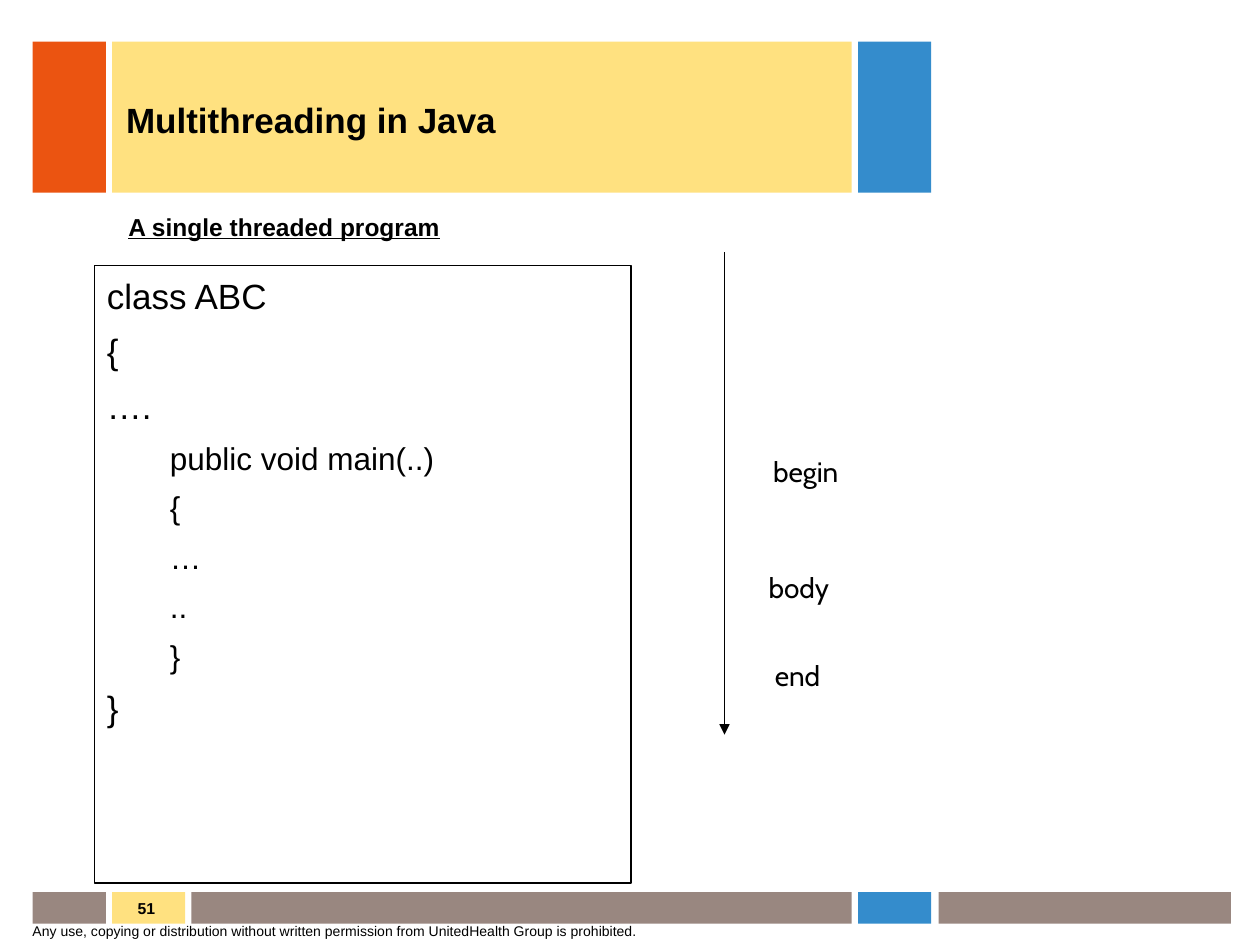
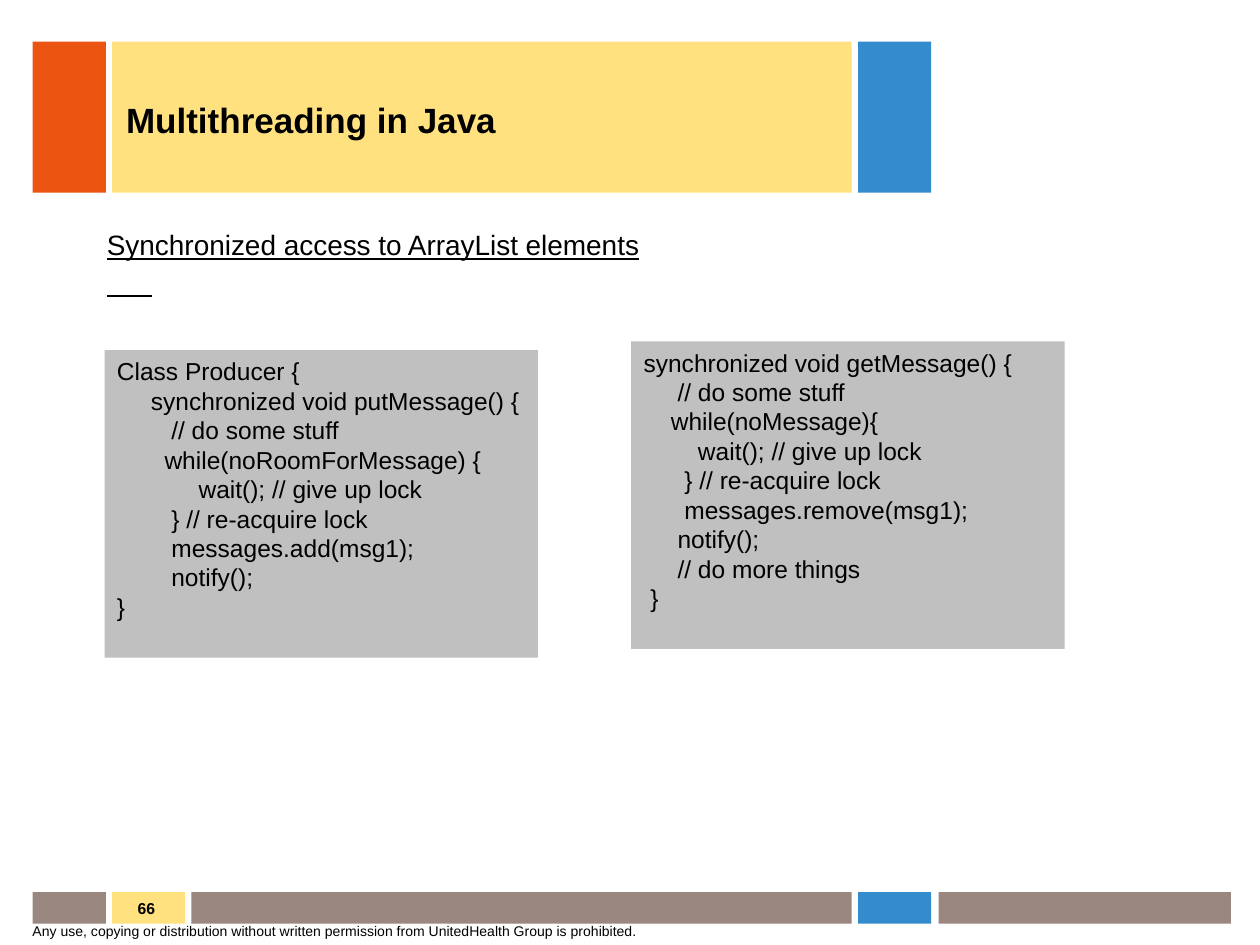
from dataclasses import dataclass

from lxml import etree
from pptx import Presentation
from pptx.dml.color import RGBColor
from pptx.enum.shapes import MSO_CONNECTOR, MSO_SHAPE
from pptx.enum.text import MSO_ANCHOR, PP_ALIGN
from pptx.oxml.ns import qn
from pptx.util import Inches, Pt

RECT = MSO_SHAPE.RECTANGLE
LINE = MSO_CONNECTOR.STRAIGHT
LEFT, MID, RIGHT = PP_ALIGN.LEFT, PP_ALIGN.CENTER, PP_ALIGN.RIGHT
TOP, CENTER = MSO_ANCHOR.TOP, MSO_ANCHOR.MIDDLE
TITLE_ONLY = 5


@dataclass(frozen=True)
class Theme:
    ink: str = "000000"
    orange: str = "EB5411"
    cream: str = "FFE180"
    blue: str = "348CCC"
    taupe: str = "998780"
    gray: str = "C0C0C0"
    font: str = "Arial"
    label: str = "Cabin"
    big: int = 20
    inner: int = 18
    mid: int = 16
    small: int = 14
    page: int = 9
    legal: int = 8
    hair: float = 0.75


THEME = Theme()
TITLE = "Multithreading in Java"
NOTICE = ("Any use, copying or distribution without written permission "
          "from UnitedHealth Group is prohibited.")

# Bands as (left, width, colour)
HEAD = [(0.26, 0.58, THEME.orange), (0.89, 5.87, THEME.cream),
        (6.81, 0.58, THEME.blue)]
FOOT = [(0.26, 0.58, THEME.taupe), (0.89, 0.58, THEME.cream),
        (1.52, 5.24, THEME.taupe), (6.81, 0.58, THEME.blue),
        (7.45, 2.32, THEME.taupe)]

# Lines of the program as (level, text)
PROGRAM = [(0, "class ABC"), (0, "{"), (0, "…."),
           (1, "public void main(..)"), (1, "{"), (1, "…"), (1, ".."),
           (1, "}"), (0, "}")]
# Format of each level: type size, indent, space after
LEVELS = [(THEME.big, 0, 6.2), (THEME.inner, 0.5, 5.6)]

# Steps along the time arrow as (text, left, top, width)
STEPS = [("begin", 6, 3.56, 0.79), ("body", 5.98, 4.48, 0.72),
         ("end", 6.05, 5.18, 0.56)]

PUT = """Class Producer {
     synchronized void putMessage() {
        // do some stuff
       while(noRoomForMessage) {
            wait(); // give up lock
        } // re-acquire lock
        messages.add(msg1);
        notify();
}"""
GET = """synchronized void getMessage() {
     // do some stuff
    while(noMessage){
        wait(); // give up lock
      } // re-acquire lock
      messages.remove(msg1);
     notify();
     // do more things
 }"""


def rgb(code):
    return RGBColor.from_string(code)


def apply(item, values):
    for name, value in values.items():
        setattr(item, name, value)


class Deck:
    def __init__(self, theme):
        self.theme = theme
        self.prs = Presentation()
        apply(self.prs, {"slide_width": Inches(10),
                         "slide_height": Inches(7.5)})
        self.slide = None

    def start(self, title, page):
        """Add a slide with its bands, title, page number and notice."""
        t = self.theme
        layout = self.prs.slide_layouts[TITLE_ONLY]
        self.slide = self.prs.slides.add_slide(layout)
        for bands, top, high in ((HEAD, 0.33, 1.2), (FOOT, 7.08, 0.25)):
            for left, wide, color in bands:
                self.rect((left, top, wide, high), fill=color)
        self.text((0.89, 7.08, 0.44, 0.25), str(page), t.page,
                  align=RIGHT, bold=True)
        self.text((0.16, 7.27, 6.47, 0.28), NOTICE, t.legal)
        head = self.slide.shapes.title
        self.slide.shapes._spTree.append(head._element)
        box = (0.9, 0.35, 5.85, 1.19)
        apply(head, dict(zip(("left", "top", "width", "height"),
                             map(Inches, box))))
        self.fill(head, title, t.big, anchor=CENTER, bold=True)

    def rect(self, box, fill=None, line=None):
        shape = self.slide.shapes.add_shape(RECT, *map(Inches, box))
        shape.shadow.inherit = False
        if fill:
            shape.fill.solid()
            shape.fill.fore_color.rgb = rgb(fill)
        else:
            shape.fill.background()
        if line:
            shape.line.color.rgb = rgb(line)
            shape.line.width = Pt(self.theme.hair)
        else:
            shape.line.fill.background()
        return shape

    def style(self, para, text, size, face=None, **look):
        para.text = text
        apply(para.font, {"name": face or self.theme.font,
                          "size": Pt(size), **look})
        para.font.color.rgb = rgb(self.theme.ink)

    def fill(self, shape, text, size, align=LEFT, anchor=TOP, wrap=True,
             **look):
        """Put styled text into a shape, one paragraph a line."""
        frame = shape.text_frame
        apply(frame, {"word_wrap": wrap, "vertical_anchor": anchor})
        for i, row in enumerate(text.split("\n")):
            para = frame.add_paragraph() if i else frame.paragraphs[0]
            para.alignment = align
            self.style(para, row, size, **look)

    def text(self, box, text, size, **look):
        shape = self.slide.shapes.add_textbox(*map(Inches, box))
        self.fill(shape, text, size, **look)

    def code(self, box, text):
        shape = self.rect(box, fill=self.theme.gray)
        self.fill(shape, text, self.theme.small)

    def levels(self, box, rows):
        """Add framed lines whose format follows their level."""
        frame = self.rect(box, line=self.theme.ink).text_frame
        apply(frame, {"word_wrap": True, "vertical_anchor": TOP})
        for i, (level, row) in enumerate(rows):
            size, indent, after = LEVELS[level]
            para = frame.add_paragraph() if i else frame.paragraphs[0]
            apply(para, {"alignment": LEFT, "line_spacing": 1.05,
                         "space_after": Pt(after)})
            para._p.get_or_add_pPr().set("marL", str(Inches(indent)))
            self.style(para, row, size)

    def line(self, start, end, arrow=False):
        ends = map(Inches, (*start, *end))
        link = self.slide.shapes.add_connector(LINE, *ends)
        link.line.color.rgb = rgb(self.theme.ink)
        link.line.width = Pt(self.theme.hair)
        if arrow:
            tail = etree.SubElement(link.line._get_or_add_ln(),
                                    qn("a:tailEnd"))
            tail.set("type", "triangle")
        etree.SubElement(link._element.spPr, qn("a:effectLst"))


def single(deck):
    t = deck.theme
    deck.start(TITLE, 51)
    deck.levels((0.75, 2.11, 4.26, 4.9), PROGRAM)
    deck.line((5.75, 2), (5.75, 5.83), arrow=True)
    for text, left, top, wide in STEPS:
        deck.text((left, top, wide, 0.37), text, t.mid, align=MID,
                  wrap=False, face=t.label)
    deck.text((0.92, 1.63, 2.68, 0.34), "A single threaded program",
              t.small, wrap=False, bold=True, underline=True)


def synced(deck):
    deck.start(TITLE, 66)
    deck.text((0.75, 1.76, 8.85, 0.4),
              "Synchronized access to ArrayList elements",
              deck.theme.mid, underline=True)
    deck.line((0.85, 2.35), (1.21, 2.35))
    deck.code((0.83, 2.78, 3.44, 2.44), PUT)
    deck.code((5.01, 2.71, 3.44, 2.44), GET)


def main():
    deck = Deck(THEME)
    single(deck)
    synced(deck)
    deck.prs.save("out.pptx")


if __name__ == "__main__":
    main()
